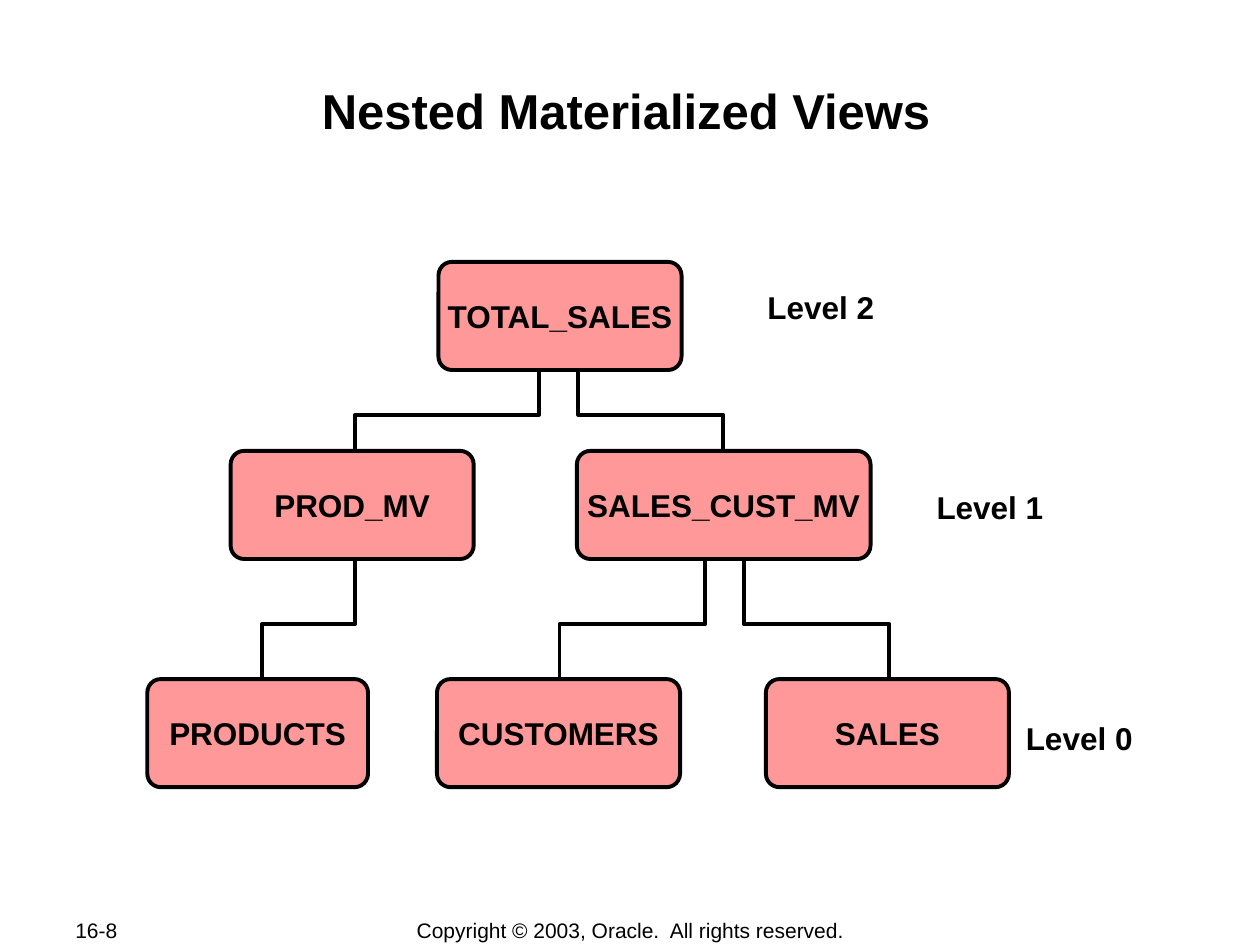
from pptx import Presentation
from pptx.dml.color import RGBColor
from pptx.enum.shapes import MSO_SHAPE
from pptx.enum.text import MSO_ANCHOR as Anchor, PP_ALIGN as Align
from pptx.util import Cm, Pt

# Content (lengths in cm)
COLORS = {"ink": "000000", "box": "FF9999"}
FONT = "Arial"
TITLE = "Nested Materialized Views"
BOX_H = 2.18
LEVELS = [  # row top, label, label left, label top, boxes (name, left, width)
    (5.28, "Level 2", 15.44, 5.77, [("TOTAL_SALES", 8.84, 4.9)]),
    (9.09, "Level 1", 18.85, 9.81, [("PROD_MV", 4.65, 4.9),
                                    ("SALES_CUST_MV", 11.63, 5.92)]),
    (13.69, "Level 0", 20.65, 14.46, [("PRODUCTS", 2.97, 4.45),
                                      ("CUSTOMERS", 8.81, 4.9),
                                      ("SALES", 15.44, 4.9)]),
]
LINK_RISE, LINK_H = 1.3, 2.42
LINKS = [  # top, (parent x, child x) pairs
    (7.06, [(10.87, 7.16), (11.66, 14.58)]),
    (11.28, [(7.16, 5.28), (14.22, 11.28), (14.99, 17.93)]),
]
FOOTERS = [  # text, left, width, alignment
    ("16-8", 1.27, 2.69, Align.LEFT),
    ("Copyright © 2003, Oracle.  All rights reserved.", 7.01, 11.4, Align.CENTER),
]


def color(name):
    return RGBColor.from_string(COLORS[name])


def write(sp, text, size, bold, align, anchor, inset=(0.25, 0.13), wrap=True):
    tf = sp.text_frame
    tf.word_wrap = wrap
    tf.vertical_anchor = anchor
    tf.margin_left = tf.margin_right = Cm(inset[0])
    tf.margin_top = tf.margin_bottom = Cm(inset[1])
    p = tf.paragraphs[0]
    p.alignment = align
    p.space_before = Pt(0)
    r = p.add_run()
    r.text = text
    r.font.name, r.font.size, r.font.bold = FONT, Pt(size), bold
    r.font.color.rgb = color("ink")


def outline(sp):
    sp.shadow.inherit = False
    sp.line.color.rgb = color("ink")
    sp.line.width = Pt(2.25)


prs = Presentation()
prs.slide_width, prs.slide_height = Cm(25.4), Cm(19.05)
slide = prs.slides.add_slide(prs.slide_layouts[5])
shapes = slide.shapes

# Title
title = shapes.title
title.left, title.top, title.width, title.height = Cm(2.46), Cm(1.6), Cm(20.32), Cm(2.44)
write(title, TITLE, 28, True, Align.CENTER, Anchor.TOP, (0.03, 0.03))

# Footer
for text, left, width, align in FOOTERS:
    sp = shapes.add_textbox(Cm(left), Cm(18.49), Cm(width), Cm(0.52))
    write(sp, text, 12, False, align, Anchor.MIDDLE)

# Stepped links between levels
for top, pairs in LINKS:
    for x1, x2 in pairs:
        bend, end = top + LINK_RISE, top + LINK_H
        path = shapes.build_freeform(Cm(x1), Cm(top))
        path.add_line_segments(
            [(Cm(x), Cm(y)) for x, y in ((x1, bend), (x2, bend), (x2, end))],
            close=False)
        sp = path.convert_to_shape()
        sp.fill.background()
        outline(sp)

# Boxes and level labels
for top, label, label_left, label_top, boxes in LEVELS:
    for name, left, width in boxes:
        sp = shapes.add_shape(MSO_SHAPE.ROUNDED_RECTANGLE,
                              Cm(left), Cm(top), Cm(width), Cm(BOX_H))
        sp.adjustments[0] = 0.125
        sp.fill.solid()
        sp.fill.fore_color.rgb = color("box")
        outline(sp)
        write(sp, name, 18, True, Align.CENTER, Anchor.MIDDLE, wrap=False)
    sp = shapes.add_textbox(Cm(label_left), Cm(label_top), Cm(2.3), Cm(0.84))
    write(sp, label, 18, True, Align.LEFT, Anchor.TOP, (0.03, 0.03))

prs.save("out.pptx")
